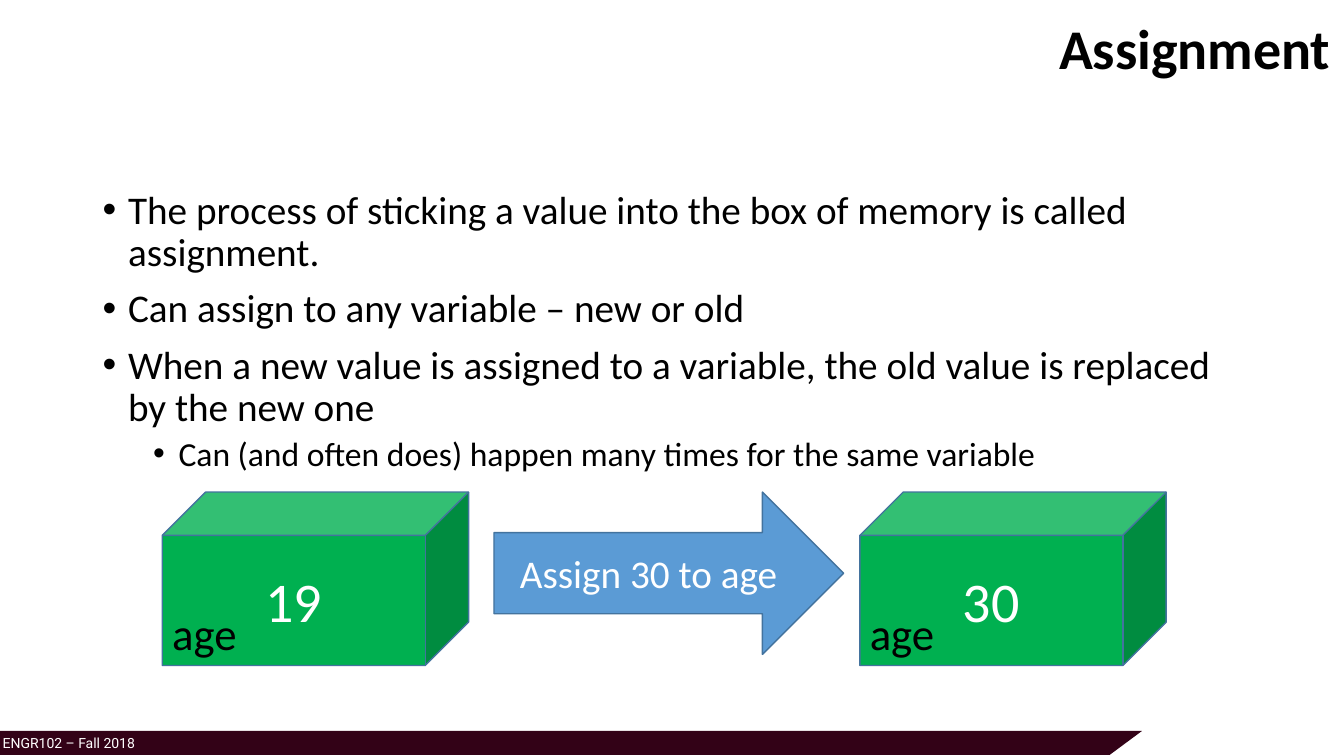
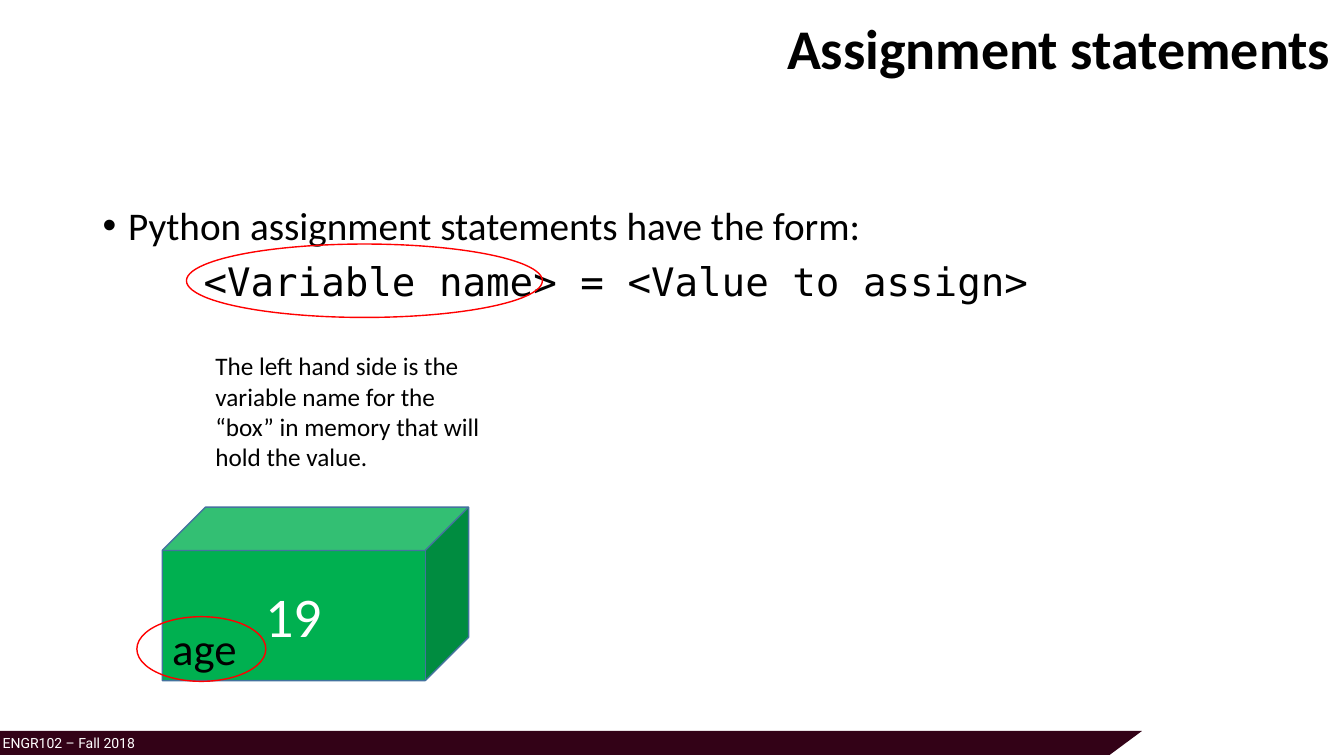
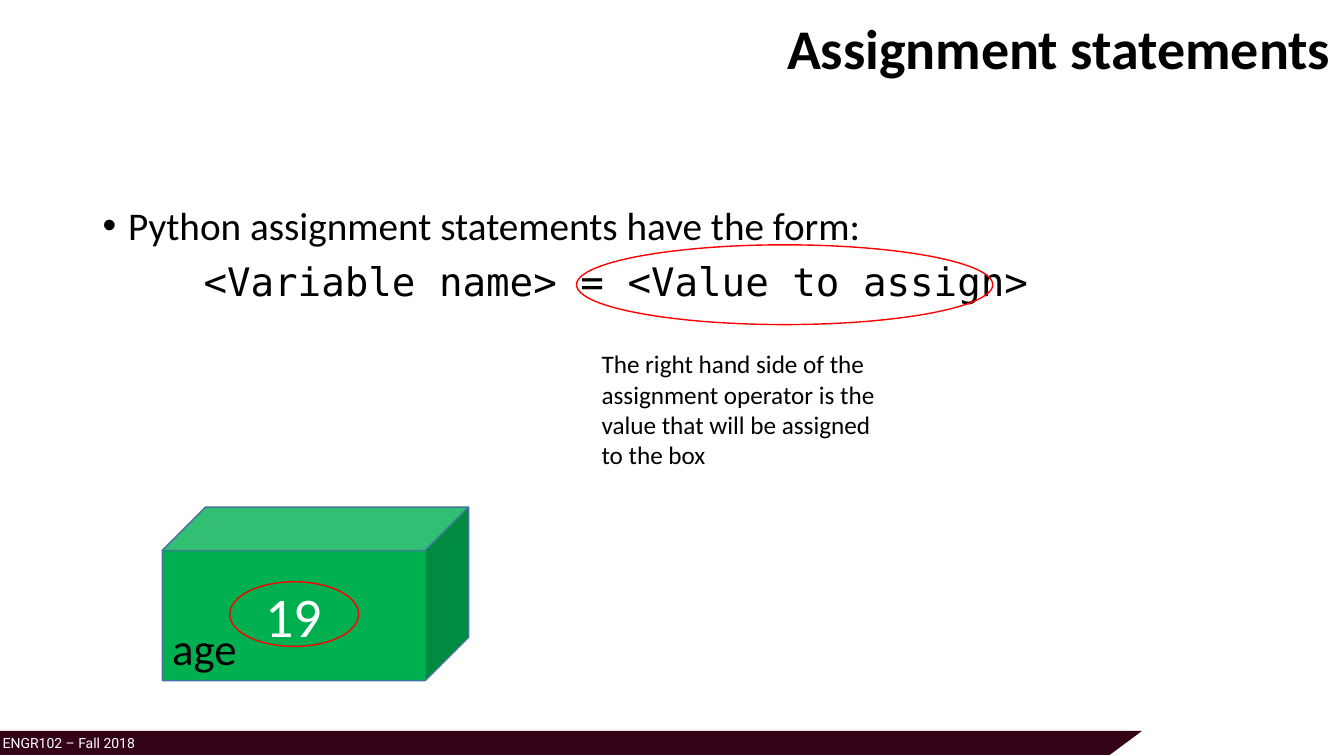
import dataclasses
import pptx
import pptx.util
import pptx.dml.color
import pptx.enum.shapes
import pptx.enum.text
import pptx.oxml.ns
import lxml.etree

Cm = pptx.util.Cm
Pt = pptx.util.Pt
Shape = pptx.enum.shapes.MSO_SHAPE
Align = pptx.enum.text.PP_ALIGN
Anchor = pptx.enum.text.MSO_ANCHOR
Fit = pptx.enum.text.MSO_AUTO_SIZE


@dataclasses.dataclass(frozen=True)
class Theme:
    # Colours
    black: str = "000000"
    white: str = "FFFFFF"
    band: str = "330217"
    box: str = "00B050"
    arrow: str = "5B9BD5"
    edge: str = "43739E"
    mark: str = "FF0000"
    # Fonts
    font: str = "Calibri"
    code: str = "DejaVu Sans Mono"
    small: str = "Roboto"
    # Type sizes
    head: int = 40
    label: int = 32
    body: int = 28
    sub: int = 24
    note: int = 18
    foot: int = 10


theme = Theme()


def color(code):
    return pptx.dml.color.RGBColor.from_string(code)


def write(frame, text, size=theme.body, ink=theme.black, font=theme.font,
          bold=False, align=Align.LEFT, lead=None, before=0, left=0, bullet=False):
    """Add one paragraph to a text frame; left is its indent in cm."""
    para = frame.paragraphs[0]
    if para.runs:
        para = frame.add_paragraph()
    para.alignment = align
    para.space_before = Pt(before)
    if lead:
        para.line_spacing = lead
    props = para._p.get_or_add_pPr()
    props.set("marL", str(Cm(left)))
    if bullet:
        props.set("indent", str(-Cm(0.64)))
        for tag, key, value in (("a:buFont", "typeface", "Arial"), ("a:buChar", "char", "•")):
            lxml.etree.SubElement(props, pptx.oxml.ns.qn(tag)).set(key, value)
    run = para.add_run()
    run.text = text
    run.font.name = font
    run.font.size = Pt(size)
    run.font.bold = bold
    run.font.color.rgb = color(ink)


class Deck:
    """Holds the style and the current slide."""

    def __init__(self):
        self.file = pptx.Presentation()
        self.file.slide_width = Cm(33.87)
        self.file.slide_height = Cm(19.05)
        self.slide = None

    def page(self, title):
        self.slide = self.file.slides.add_slide(self.file.slide_layouts[6])
        self.footer("ENGR102 – Fall 2018")
        frame = self.text(15.16, 0, 18.62, 2.57)
        frame.vertical_anchor = Anchor.MIDDLE
        write(frame, title, size=theme.head, bold=True, align=Align.RIGHT, lead=0.9)

    def footer(self, text):
        top, base = Cm(18.42), Cm(19.02)
        path = self.slide.shapes.build_freeform(Cm(-0.03), top)
        path.add_line_segments([(Cm(28.78), top), (Cm(27.97), base), (Cm(-0.05), base)])
        self.paint(path.convert_to_shape(), theme.band)
        frame = self.text(-0.18, 18.39, 19.05, 0.76)
        write(frame, text, size=theme.foot, ink=theme.white, font=theme.small)

    def paint(self, shape, fill=None, line=None):
        shape.shadow.inherit = False
        if fill:
            shape.fill.solid()
            shape.fill.fore_color.rgb = color(fill)
        else:
            shape.fill.background()
        if line:
            shape.line.color.rgb = color(line)
            shape.line.width = Pt(1)
        else:
            shape.line.fill.background()

    def text(self, x, y, w, h, wrap=True, grow=False, host=None):
        shapes = (host or self.slide).shapes
        frame = shapes.add_textbox(Cm(x), Cm(y), Cm(w), Cm(h)).text_frame
        frame.word_wrap = wrap
        frame.auto_size = Fit.SHAPE_TO_FIT_TEXT if grow else Fit.NONE
        return frame

    def shape(self, kind, x, y, w, h, fill=None, line=theme.edge, text="",
              size=theme.body, host=None):
        shapes = (host or self.slide).shapes
        item = shapes.add_shape(kind, Cm(x), Cm(y), Cm(w), Cm(h))
        self.paint(item, fill, line)
        if text:
            item.text_frame.vertical_anchor = Anchor.MIDDLE
            write(item.text_frame, text, size=size, ink=theme.white, align=Align.CENTER)

    def box(self, x, y, value, name="age"):
        """A memory box: a cube with its value, named at the lower left."""
        group = self.slide.shapes.add_group_shape()
        high, tall = 4.37, 1.63
        self.shape(Shape.CUBE, x, y, 7.72, high, theme.box, text=value,
                   size=theme.head, host=group)
        frame = self.text(x, y + high - tall, 2.16, tall, wrap=False, grow=True, host=group)
        write(frame, name, size=theme.label)

    def ring(self, x, y, w, h):
        self.shape(Shape.OVAL, x, y, w, h, line=theme.mark)

    def body(self, y, h):
        return self.text(2.34, y, 29.21, h)

    def point(self, frame, text, level=0):
        write(frame, text, size=(theme.body, theme.sub)[level], lead=0.9,
              before=(10, 5)[level], left=0.64 + 1.27 * level, bullet=True)

    def note(self, x, y, text):
        write(self.text(x, y, 7.42, 3.33, grow=True), text, size=theme.note)


def main():
    deck = Deck()

    # Assigning a new value
    deck.page("Assignment")
    frame = deck.body(4.67, 12.09)
    for text, level in (
        ("The process of sticking a value into the box of memory is called assignment.", 0),
        ("Can assign to any variable – new or old", 0),
        ("When a new value is assigned to a variable, the old value is replaced by the new one", 0),
        ("Can (and often does) happen many times for the same variable", 1),
    ):
        deck.point(frame, text, level)
    top = 12.4
    deck.box(4.09, top, "19")
    deck.box(21.67, top, "30")
    deck.shape(Shape.RIGHT_ARROW, 12.45, top, 8.81, 4.09, theme.arrow, text="Assign 30 to age")

    # Each side of the statement: note, then rings on the box and the code
    sides = (
        ((5.18, 8.71, "The left hand side is the variable name for the “box” in memory "
                      "that will hold the value."),
         (3.45, 15.54, 3.25, 1.63), (4.7, 6.15, 8.97, 1.85)),
        ((14.91, 8.66, "The right hand side of the assignment operator is the value "
                       "that will be assigned to the box"),
         (5.79, 14.66, 3.25, 1.63), (14.53, 6.17, 10.49, 2.01)),
    )
    for note, *rings in sides:
        deck.page("Assignment statements")
        frame = deck.body(5.08, 3.45)
        deck.point(frame, "Python assignment statements have the form:")
        write(frame, "<Variable name> = <Value to assign>", font=theme.code,
              lead=0.9, before=10, left=2.54)
        deck.box(4.09, 12.78, "19")
        deck.note(*note)
        for ring in rings:
            deck.ring(*ring)

    deck.file.save("out.pptx")


if __name__ == "__main__":
    main()
